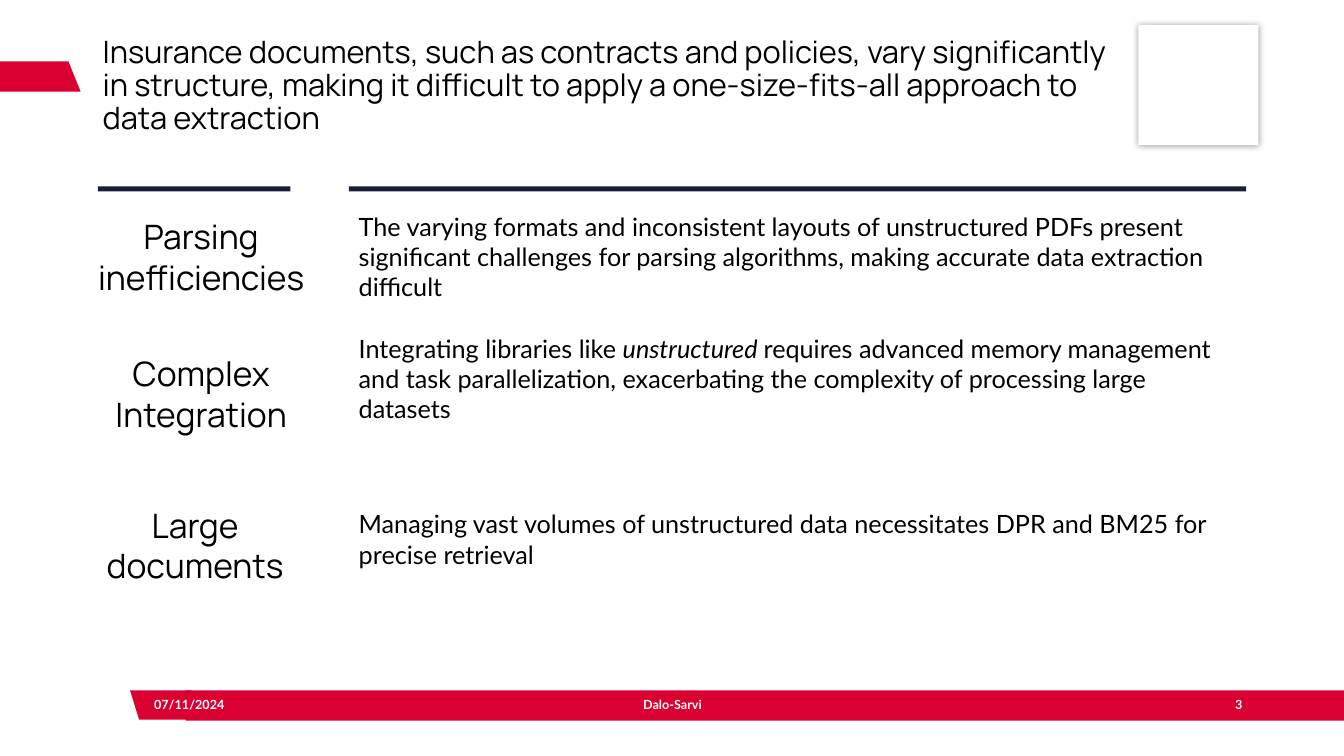
from dataclasses import dataclass

from lxml.etree import SubElement
from pptx import Presentation
from pptx.dml.color import RGBColor
from pptx.enum.shapes import MSO_SHAPE
from pptx.enum.text import MSO_ANCHOR, PP_ALIGN
from pptx.oxml.ns import qn
from pptx.shapes.autoshape import Shape
from pptx.slide import Slide
from pptx.util import Inches, Pt


@dataclass(frozen=True)
class Theme:
    red: RGBColor = RGBColor(0xDB, 0x00, 0x32)
    navy: RGBColor = RGBColor(0x19, 0x1D, 0x38)
    black: RGBColor = RGBColor(0, 0, 0)
    white: RGBColor = RGBColor(255, 255, 255)
    heading_font: str = "Manrope"
    body_font: str = "Lato"
    title_size: int = 22
    label_size: int = 24
    body_size: int = 18
    footer_size: int = 9


THEME = Theme()


@dataclass(frozen=True)
class Box:
    left: float
    top: float
    width: float
    height: float


@dataclass(frozen=True)
class Run:
    text: str
    italic: bool = False


@dataclass(frozen=True)
class Challenge:
    label: str
    label_box: Box
    description: list[Run]
    description_box: Box


@dataclass(frozen=True)
class FooterItem:
    text: str
    left: float
    width: float
    align: PP_ALIGN


DESCRIPTION_LEFT, DESCRIPTION_WIDTH = 3.46, 8.9
LABEL_WIDTH, LABEL_HEIGHT = 2.61, 0.91

CHALLENGES = [
    Challenge(
        "Parsing inefficiencies",
        Box(0.69, 2.09, LABEL_WIDTH, LABEL_HEIGHT),
        [Run("The varying formats and inconsistent layouts of unstructured PDFs present "
             "significant challenges for parsing algorithms, making accurate data "
             "extraction difficult")],
        Box(DESCRIPTION_LEFT, 2.04, DESCRIPTION_WIDTH, 1.01),
    ),
    Challenge(
        "Complex Integration",
        Box(0.69, 3.45, LABEL_WIDTH, LABEL_HEIGHT),
        [Run("Integrating libraries like "),
         Run("unstructured ", italic=True),
         Run("requires advanced memory management and task parallelization, "
             "exacerbating the complexity of processing large datasets")],
        Box(DESCRIPTION_LEFT, 3.4, DESCRIPTION_WIDTH, 0.71),
    ),
    Challenge(
        "Large documents",
        Box(0.63, 4.95, LABEL_WIDTH, LABEL_HEIGHT),
        [Run("Managing vast volumes of unstructured data necessitates DPR and BM25 "
             "for precise retrieval")],
        Box(DESCRIPTION_LEFT, 4.99, DESCRIPTION_WIDTH, 0.71),
    ),
]

FOOTER = [
    FooterItem("07/11/2024", 1.43, 1.45, PP_ALIGN.LEFT),
    FooterItem("Dalo-Sarvi", 4.17, 5, PP_ALIGN.CENTER),
    FooterItem("3", 11.63, 0.79, PP_ALIGN.RIGHT),
]

RED_OUTLINES = [
    [(0.68, 0.61), (0, 0.61), (0, 0.91), (0.8, 0.91)],
    [(1.38, 7.14), (1.9, 7.14), (1.9, 6.85), (1.29, 6.85)],
]

COLUMN_RULES = [
    Box(0.97, 1.85, 1.91, 0.05),
    Box(DESCRIPTION_LEFT, 1.85, DESCRIPTION_WIDTH, 0.05),
]


def paint(shape: Shape, color: RGBColor) -> None:
    shape.shadow.inherit = False
    shape.fill.solid()
    shape.fill.fore_color.rgb = color
    shape.line.fill.background()


def add_rectangle(slide: Slide, box: Box, color: RGBColor) -> Shape:
    shape = slide.shapes.add_shape(
        MSO_SHAPE.RECTANGLE, Inches(box.left), Inches(box.top),
        Inches(box.width), Inches(box.height))
    paint(shape, color)
    return shape


def add_outline(slide: Slide, points: list[tuple[float, float]], color: RGBColor) -> None:
    start, *rest = [(Inches(x), Inches(y)) for x, y in points]
    builder = slide.shapes.build_freeform(*start)
    builder.add_line_segments(rest, close=True)
    paint(builder.convert_to_shape(), color)


def add_glow_shadow(shape: Shape, blur: float, opacity: int) -> None:
    effects = shape.element.spPr.find(qn("a:effectLst"))
    shadow = SubElement(effects, qn("a:outerShdw"), blurRad=str(Pt(blur)),
                        dist="0", dir="0", algn="ctr", rotWithShape="0")
    color = SubElement(shadow, qn("a:srgbClr"), val=str(THEME.black))
    SubElement(color, qn("a:alpha"), val=str(opacity * 1000))


def add_text(slide: Slide, box: Box, runs: list[Run], *, font: str, size: int,
             color: RGBColor = THEME.black, bold: bool = False,
             align: PP_ALIGN = PP_ALIGN.LEFT, line_spacing: float = 1.0) -> None:
    text_box = slide.shapes.add_textbox(
        Inches(box.left), Inches(box.top), Inches(box.width), Inches(box.height))
    frame = text_box.text_frame
    frame.word_wrap = True
    frame.vertical_anchor = MSO_ANCHOR.MIDDLE
    paragraph = frame.paragraphs[0]
    paragraph.alignment = align
    paragraph.line_spacing = line_spacing
    for item in runs:
        run = paragraph.add_run()
        run.text = item.text
        run.font.name = font
        run.font.size = Pt(size)
        run.font.color.rgb = color
        run.font.bold = bold
        run.font.italic = item.italic


def main() -> None:
    presentation = Presentation()
    presentation.slide_width = Inches(13.33)
    presentation.slide_height = Inches(7.5)
    slide = presentation.slides.add_slide(presentation.slide_layouts[6])

    # Red accents, footer band and white badge
    for outline in RED_OUTLINES:
        add_outline(slide, outline, THEME.red)
    add_rectangle(slide, Box(1.84, 6.85, 11.49, 0.3), THEME.red)
    badge = add_rectangle(slide, Box(11.29, 0.25, 1.19, 1.19), THEME.white)
    add_glow_shadow(badge, blur=5, opacity=40)

    # Footer
    for item in FOOTER:
        add_text(slide, Box(item.left, 6.79, item.width, 0.4), [Run(item.text)],
                 font=THEME.body_font, size=THEME.footer_size,
                 color=THEME.white, bold=True, align=item.align)

    # Title
    title = ("Insurance documents, such as contracts and policies, vary significantly in "
             "structure, making it difficult to apply a one-size-fits-all approach to "
             "data extraction")
    add_text(slide, Box(0.92, 0.58, 10.26, 0.56), [Run(title)],
             font=THEME.heading_font, size=THEME.title_size, line_spacing=0.9)

    # Column rules and challenges
    for rule in COLUMN_RULES:
        add_rectangle(slide, rule, THEME.navy)
    for challenge in CHALLENGES:
        add_text(slide, challenge.label_box, [Run(challenge.label)],
                 font=THEME.heading_font, size=THEME.label_size, align=PP_ALIGN.CENTER)
        add_text(slide, challenge.description_box, challenge.description,
                 font=THEME.body_font, size=THEME.body_size)

    presentation.save("out.pptx")


if __name__ == "__main__":
    main()
